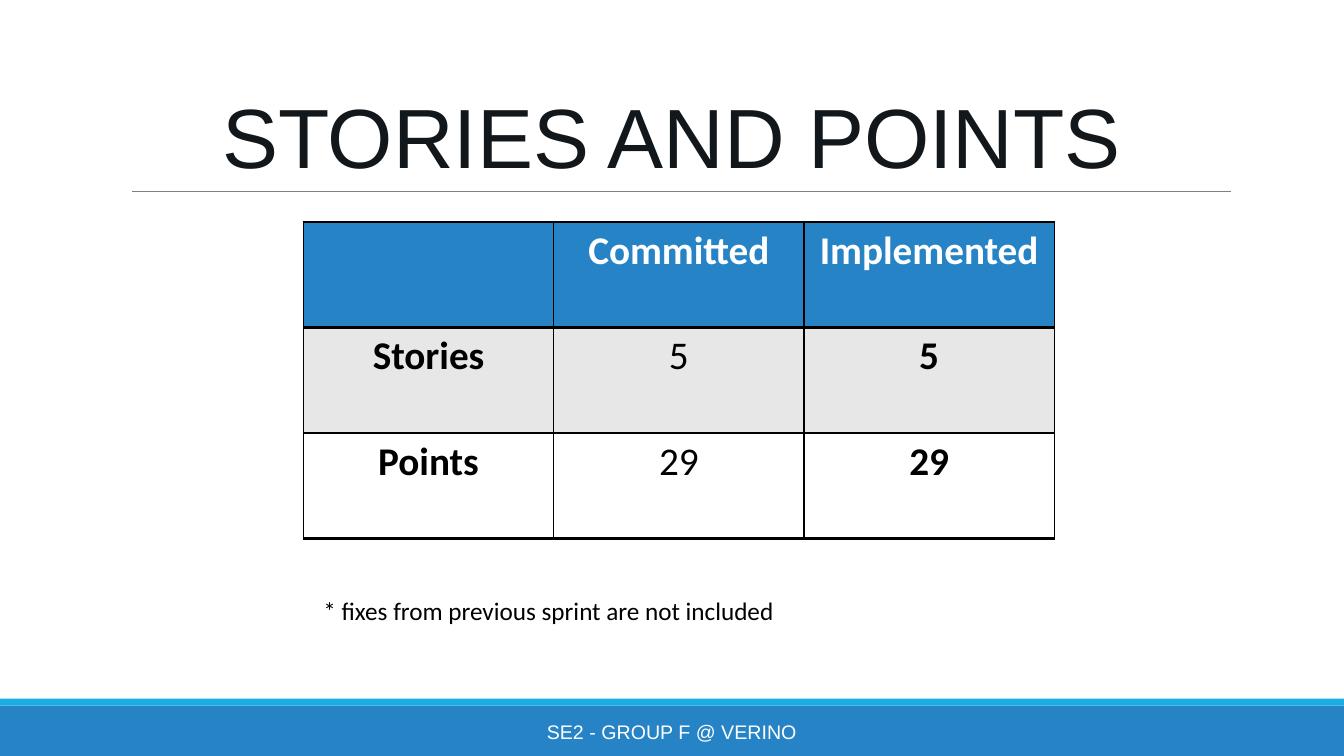
from lxml.etree import SubElement
from pptx import Presentation
from pptx.dml.color import RGBColor
from pptx.enum.shapes import MSO_CONNECTOR, MSO_SHAPE
from pptx.enum.text import MSO_ANCHOR as Anchor, PP_ALIGN as Align
from pptx.oxml.ns import qn
from pptx.util import Pt

BLUE = RGBColor(0x26, 0x83, 0xC6)
SKY = RGBColor(0x1C, 0xAD, 0xE4)
INK = RGBColor(0x12, 0x17, 0x1B)
GRAY = RGBColor(0x80, 0x80, 0x80)
LIGHT = RGBColor(0xE7, 0xE7, 0xE7)
WHITE = RGBColor(0xFF, 0xFF, 0xFF)
BLACK = RGBColor(0, 0, 0)

STORY_ROWS = [
    ("", "Committed", "Implemented"),
    ("Stories", "5", "5"),
    ("Points", "29", "29"),
]
ROW_FILLS = [BLUE, LIGHT, WHITE]
COLUMN_WIDTH, ROW_HEIGHT = 178.8, 75.4
BORDERS = {"a:lnL": 1, "a:lnR": 1, "a:lnT": 2, "a:lnB": 2}


def write_text(frame, text, color, align=Align.CENTER, **font_values):
    paragraph = frame.paragraphs[0]
    paragraph.alignment = align
    run = paragraph.add_run()
    run.text = text
    run.font.color.rgb = color
    for name, value in font_values.items():
        setattr(run.font, name, value)


def add_text(slide, box, text, color, anchor=Anchor.TOP, **text_values):
    frame = slide.shapes.add_textbox(*map(Pt, box)).text_frame
    frame.word_wrap = True
    frame.vertical_anchor = anchor
    write_text(frame, text, color, **text_values)


def add_bar(slide, top, height, color):
    shape = slide.shapes.add_shape(
        MSO_SHAPE.RECTANGLE, 0, Pt(top), Pt(960), Pt(height))
    shape.shadow.inherit = False
    shape.fill.solid()
    shape.fill.fore_color.rgb = color
    shape.line.fill.background()


def add_rule(slide, left, right, top):
    rule = slide.shapes.add_connector(
        MSO_CONNECTOR.STRAIGHT, Pt(left), Pt(top), Pt(right), Pt(top))
    rule.line.color.rgb = GRAY
    rule.line.width = Pt(0.5)
    SubElement(rule.element.spPr, qn("a:effectLst"))


def add_borders(cell):
    properties = cell._tc.get_or_add_tcPr()
    for tag, width in BORDERS.items():
        border = SubElement(properties, qn(tag), w=str(Pt(width)))
        fill = SubElement(border, qn("a:solidFill"))
        SubElement(fill, qn("a:srgbClr"), val=str(BLACK))


def add_story_table(slide, left, top):
    row_count, column_count = len(STORY_ROWS), len(STORY_ROWS[0])
    table = slide.shapes.add_table(
        row_count, column_count, Pt(left), Pt(top),
        Pt(COLUMN_WIDTH * column_count), Pt(ROW_HEIGHT * row_count)).table
    for row, (texts, color) in enumerate(zip(STORY_ROWS, ROW_FILLS)):
        for column, text in enumerate(texts):
            cell = table.cell(row, column)
            add_borders(cell)
            cell.fill.solid()
            cell.fill.fore_color.rgb = color
            if text:
                write_text(cell.text_frame, text, BLACK if row else WHITE,
                           name="Calibri", size=Pt(28),
                           bold=row == 0 or column != 1)


def main():
    presentation = Presentation()
    presentation.slide_width, presentation.slide_height = Pt(960), Pt(540)
    slide = presentation.slides.add_slide(presentation.slide_layouts[6])
    add_rule(slide, 94.3, 879, 136.8)
    add_bar(slide, 504, 36, BLUE)
    add_bar(slide, 499, 5, SKY)
    add_text(slide, (290.2, 508.3, 379.4, 28.8), "SE2 - GROUP F @ VERINO",
             WHITE, Anchor.MIDDLE, name="Arial", size=Pt(14))
    add_text(slide, (142.6, 56.9, 674.6, 79.2), "STORIES AND POINTS",
             INK, Anchor.BOTTOM, name="Arial", size=Pt(60))
    add_story_table(slide, 216.7, 158.4)
    add_text(slide, (223.9, 421.9, 357.8, 50.4),
             "* fixes from previous sprint are not included",
             BLACK, align=Align.LEFT, name="Calibri", size=Pt(18))
    presentation.save("out.pptx")


if __name__ == "__main__":
    main()
